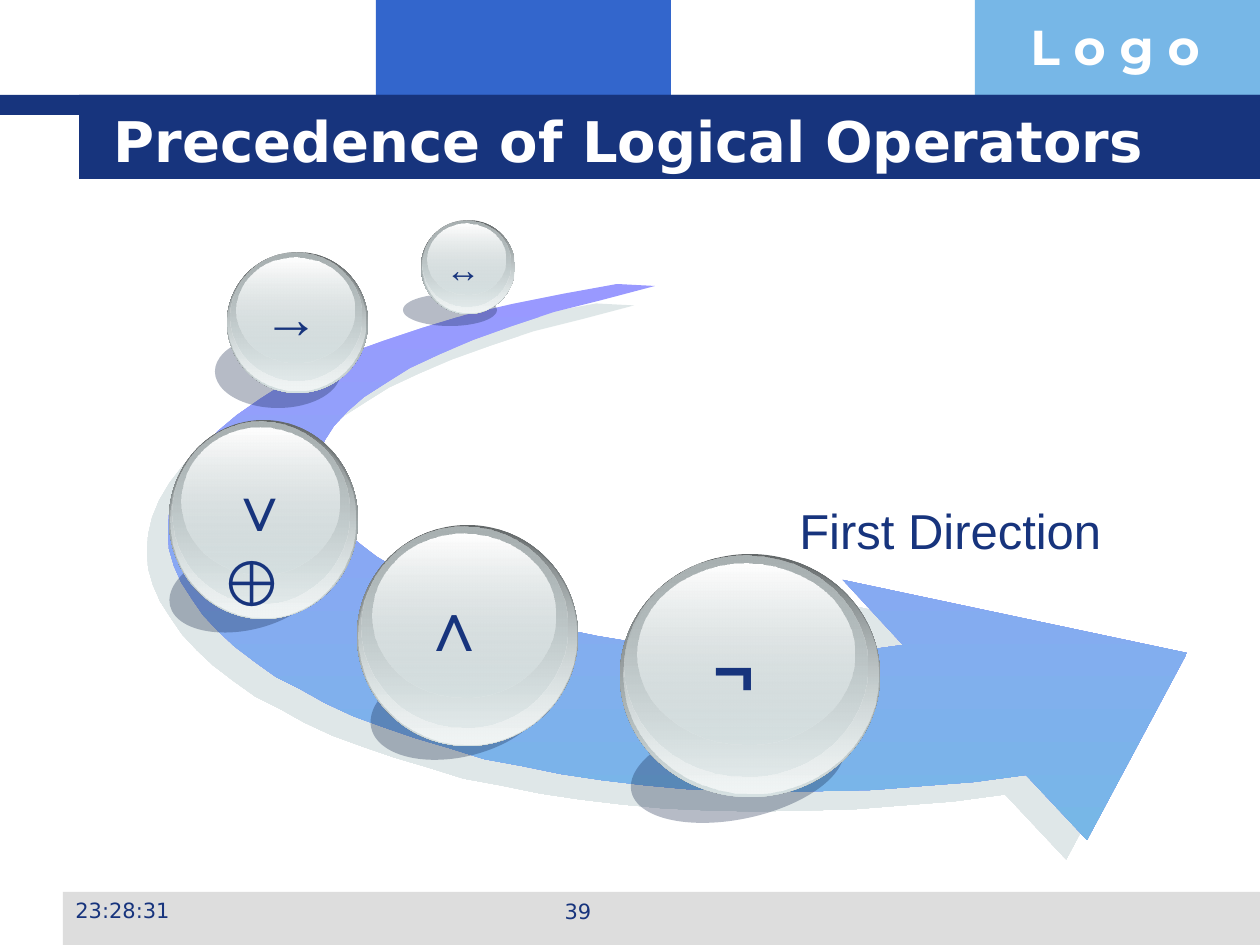
from dataclasses import dataclass
from typing import NamedTuple

from lxml import etree
from pptx import Presentation
from pptx import util as u
from pptx.dml.color import RGBColor
from pptx.enum import shapes, text
from pptx.oxml import ns

PIXEL = 7257.6
NAVY = "17347D"
WHITE = "FFFFFF"
SKY = "77B7E7"
MIST = "D6E1E2"


class Box(NamedTuple):
    left: int
    top: int
    width: int
    height: int

    def emu(self) -> list[int]:
        return [px(value) for value in self]


class Stop(NamedTuple):
    color: str
    opacity: int = 100


class Layer(NamedTuple):
    dx: float
    dy: float
    width: float
    height: float
    upper: Stop
    lower: Stop


@dataclass
class Operator:
    symbol: str
    size: int
    ball: Box
    shade: Box
    tilt: int
    label: Box
    wrap: bool = False


LAYERS = [
    Layer(0, 0, 1, 1, Stop("636869"), Stop(MIST)),
    Layer(0.01, 0.01, 0.98, 0.98, Stop(MIST, 0), Stop("F1F5F5")),
    Layer(0.02, 0.01, 0.93, 0.91, Stop("AAB2B3"), Stop(MIST, 48)),
    Layer(0.07, 0.04, 0.83, 0.74, Stop(WHITE), Stop(MIST, 38)),
]

OPERATORS = [
    Operator("¬ ", 40, Box(620, 554, 260, 243), Box(629, 719, 217, 100), 348, Box(696, 619, 95, 97)),
    Operator("∨ ⊕ ", 36, Box(169, 420, 189, 199), Box(168, 546, 156, 84), 347, Box(186, 462, 149, 97), True),
    Operator("→ ", 32, Box(227, 252, 141, 141), Box(215, 335, 126, 73), 0, Box(251, 276, 96, 79)),
    Operator("↔ ", 20, Box(421, 220, 94, 94), Box(403, 294, 94, 32), 0, Box(432, 241, 72, 54)),
    Operator("∧ ", 40, Box(357, 525, 221, 221), Box(369, 659, 179, 98), 347, Box(421, 575, 87, 97)),
]

BARS = [
    (Box(376, 0, 295, 95), "3366CC"),
    (Box(975, 0, 285, 95), SKY),
    (Box(63, 892, 1197, 53), "DDDDDD"),
    (Box(0, 95, 1260, 20), NAVY),
    (Box(79, 95, 1181, 84), NAVY),
]

OUTER_EDGE = [
    (617, 284), (562, 294), (512, 304), (465, 315), (422, 328), (383, 341), (347, 354),
    (315, 369), (285, 383), (260, 399), (237, 415), (218, 431), (203, 447), (190, 464),
    (180, 481), (173, 498), (169, 515), (168, 532), (169, 549), (174, 566), (181, 582),
    (192, 599), (203, 615), (218, 631), (234, 646), (255, 662), (276, 677), (300, 689),
    (325, 703), (353, 716), (383, 727), (415, 738), (449, 748), (484, 759), (522, 766),
    (561, 774), (601, 780), (643, 785), (685, 789), (731, 791), (777, 792), (824, 791),
    (873, 790), (922, 786), (974, 782), (1026, 775),
]
ARROWHEAD = [(1087, 840), (1187, 653), (843, 580), (903, 645)]
INNER_EDGE = [
    (874, 649), (844, 651), (814, 654), (782, 654), (752, 653), (719, 651), (689, 649),
    (658, 645), (627, 641), (597, 636), (568, 630), (539, 622), (512, 615), (486, 607),
    (461, 599), (437, 588), (415, 578), (394, 567), (377, 557), (360, 544), (347, 533),
    (335, 520), (326, 507), (320, 494), (316, 481), (316, 467), (319, 454), (325, 440),
    (334, 426), (348, 411), (364, 397), (386, 383), (410, 368), (440, 354), (473, 340),
    (512, 326), (554, 312), (602, 300), (655, 286),
]


def px(value: float) -> int:
    return round(value * PIXEL)


def rgb(color: str) -> RGBColor:
    return RGBColor.from_string(color)


def set_opacity(color_node, percent: int) -> None:
    if percent < 100:
        etree.SubElement(color_node, ns.qn("a:alpha"), val=str(percent * 1000))


def paint(shape, *stops: Stop) -> None:
    shape.shadow.inherit = False
    shape.line.fill.background()
    if len(stops) == 1:
        shape.fill.solid()
        shape.fill.fore_color.rgb = rgb(stops[0].color)
    else:
        shape.fill.gradient()
        shape.fill.gradient_angle = 270
        for target, stop in zip(shape.fill.gradient_stops, stops):
            target.color.rgb = rgb(stop.color)
    color_nodes = shape.element.spPr.iter(ns.qn("a:srgbClr"))
    for node, stop in zip(list(color_nodes), stops):
        set_opacity(node, stop.opacity)


def add_figure(slide, kind, box: Box, *stops: Stop):
    figure = slide.shapes.add_shape(kind, *box.emu())
    paint(figure, *stops)
    return figure


def write(host, content: str, *, size: int, font: str = "Arial", color: str = NAVY,
          bold: bool = False, align=text.PP_ALIGN.LEFT,
          anchor=text.MSO_ANCHOR.TOP, wrap: bool = True) -> None:
    frame = host.text_frame
    frame.auto_size = text.MSO_AUTO_SIZE.NONE
    frame.word_wrap = wrap
    frame.vertical_anchor = anchor
    paragraph = frame.paragraphs[0]
    paragraph.alignment = align
    run = paragraph.add_run()
    run.text = content
    run.font.size = u.Pt(size)
    run.font.name = font
    run.font.bold = bold
    run.font.color.rgb = rgb(color)


def add_text(slide, box: Box, content: str, **style) -> None:
    write(slide.shapes.add_textbox(*box.emu()), content, **style)


def add_direction_arrow(slide) -> None:
    start, *rest = OUTER_EDGE + ARROWHEAD + INNER_EDGE
    builder = slide.shapes.build_freeform(*start, scale=PIXEL)
    builder.add_line_segments(rest, close=True)
    arrow = builder.convert_to_shape()
    paint(arrow, Stop("9999FF"), Stop(SKY))
    effects = arrow.element.spPr.find(ns.qn("a:effectLst"))
    shadow = etree.SubElement(effects, ns.qn("a:outerShdw"), blurRad="0",
                              dist=str(u.Pt(16.3)), dir=str(137 * 60000),
                              algn="ctr", rotWithShape="0")
    shade = etree.SubElement(shadow, ns.qn("a:srgbClr"), val="C1D1D3")
    set_opacity(shade, 50)


def add_operator(slide, operator: Operator) -> None:
    oval = shapes.MSO_SHAPE.OVAL
    shade = add_figure(slide, oval, operator.shade, Stop("0F2145", 30))
    shade.rotation = operator.tilt
    ball = operator.ball
    for layer in LAYERS:
        box = Box(round(ball.left + layer.dx * ball.width),
                  round(ball.top + layer.dy * ball.height),
                  round(layer.width * ball.width),
                  round(layer.height * ball.height))
        add_figure(slide, oval, box, layer.upper, layer.lower)
    add_text(slide, operator.label, operator.symbol, size=operator.size, bold=True,
             align=text.PP_ALIGN.CENTER, wrap=operator.wrap)


def main() -> None:
    deck = Presentation()
    deck.slide_width, deck.slide_height = px(1260), px(945)
    slide = deck.slides.add_slide(deck.slide_layouts[5])
    for box, color in BARS:
        add_figure(slide, shapes.MSO_SHAPE.RECTANGLE, box, Stop(color))
    add_text(slide, Box(1018, 10, 242, 72), "L o g o", size=28, font="Montserrat",
             color=WHITE, bold=True)
    add_text(slide, Box(431, 892, 294, 44), "39", size=12, font="DejaVu Sans",
             align=text.PP_ALIGN.CENTER)

    title = slide.shapes.title
    title.left, title.top, title.width, title.height = Box(101, 101, 1075, 78).emu()
    write(title, "Precedence of Logical Operators", size=32, font="DejaVu Sans",
          color=WHITE, bold=True, anchor=text.MSO_ANCHOR.MIDDLE)
    title.element.getparent().append(title.element)

    add_direction_arrow(slide)
    add_text(slide, Box(787, 494, 368, 72), "First Direction", size=28)
    for operator in OPERATORS:
        add_operator(slide, operator)
    add_text(slide, Box(63, 891, 294, 44), "23:28:31", size=12, font="DejaVu Sans")
    deck.save("out.pptx")


main()
